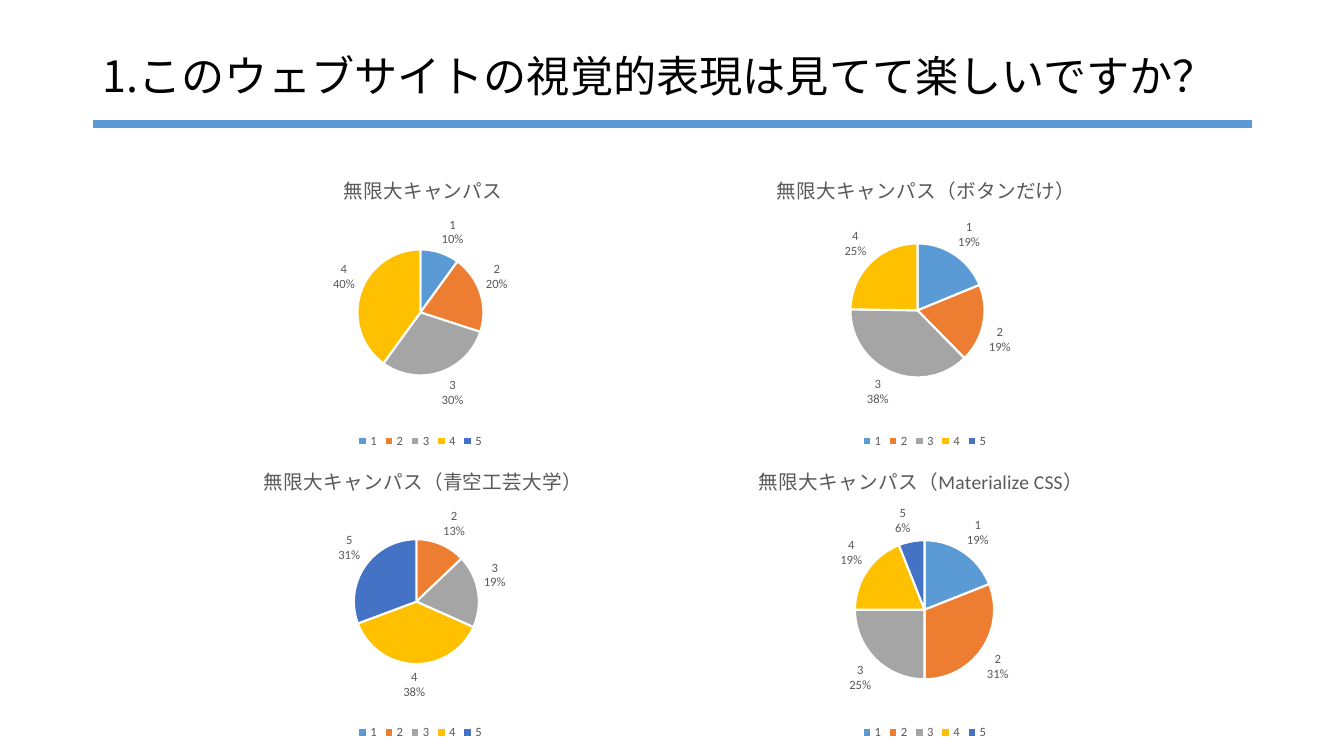
from lxml import etree
from pptx import Presentation
from pptx.chart.data import CategoryChartData
from pptx.dml.color import RGBColor
from pptx.enum.chart import XL_CHART_TYPE, XL_LABEL_POSITION, XL_LEGEND_POSITION
from pptx.enum.shapes import MSO_CONNECTOR
from pptx.enum.text import MSO_ANCHOR
from pptx.oxml.ns import qn
from pptx.util import Inches, Pt

PIE = XL_CHART_TYPE.PIE
OUTSIDE = XL_LABEL_POSITION.OUTSIDE_END
BOTTOM = XL_LEGEND_POSITION.BOTTOM
STRAIGHT = MSO_CONNECTOR.STRAIGHT
MIDDLE = MSO_ANCHOR.MIDDLE

QUESTION = "1.このウェブサイトの視覚的表現は見てて楽しいですか？"
RATINGS = ["1", "2", "3", "4", "5"]
RATING_COLORS = ["5B9BD5", "ED7D31", "A5A5A5", "FFC000", "4472C4"]
SURVEYS = [
    {"title": "無限大キャンパス", "values": [10, 20, 30, 40, 0],
     "title_left": 1.7, "center": (2.5, 1.61), "diameter": 1.25},
    {"title": "無限大キャンパス（ボタンだけ）", "values": [19, 19, 38, 25, 0],
     "title_left": 1.0, "center": (2.43, 1.59), "diameter": 1.33},
    {"title": "無限大キャンパス（青空工芸大学）", "values": [0, 13, 19, 38, 31],
     "title_left": 0.91, "center": (2.46, 1.59), "diameter": 1.24},
    {"title": "無限大キャンパス（Materialize CSS）", "values": [19, 31, 25, 19, 6],
     "title_left": 0.82, "center": (2.5, 1.67), "diameter": 1.38},
]
GRID_LEFT, GRID_TOP = 1.67, 1.49
CHART_WIDTH, CHART_HEIGHT = 5, 3
ROW_STEP = 2.89
TITLE_TOP = 0.19
RULE_LEFT, RULE_RIGHT, RULE_TOP = 0.92, 12.42, 1.23
LATIN_FONT, JAPANESE_FONT = "Calibri", "Noto Sans CJK JP"
GRAY = "595959"


def color(hex_string):
    return RGBColor.from_string(hex_string)


def style_font(font, size, hex_string, name=LATIN_FONT):
    font.size = Pt(size)
    font.name = name
    font.bold = False
    font.color.rgb = color(hex_string)


def add_value(parent, tag, value):
    etree.SubElement(parent, qn(tag)).set("val", str(value))


def set_layout(parent, index, left, top, size=None):
    for old_layout in parent.findall(qn("c:layout")):
        parent.remove(old_layout)
    layout = etree.Element(qn("c:layout"))
    manual = etree.SubElement(layout, qn("c:manualLayout"))
    if size:
        add_value(manual, "c:layoutTarget", "inner")
    add_value(manual, "c:xMode", "edge")
    add_value(manual, "c:yMode", "edge")
    add_value(manual, "c:x", left / CHART_WIDTH)
    add_value(manual, "c:y", top / CHART_HEIGHT)
    if size:
        add_value(manual, "c:w", size / CHART_WIDTH)
        add_value(manual, "c:h", size / CHART_HEIGHT)
    parent.insert(index, layout)


def add_labels(series, values):
    labels = series.data_labels
    labels.show_value = False
    labels.show_percentage = True
    labels.show_category_name = True
    labels.number_format = "0%"
    labels.number_format_is_linked = False
    labels.position = OUTSIDE
    style_font(labels.font, 9, GRAY)
    element = series._element.find(qn("c:dLbls"))
    separator = etree.Element(qn("c:separator"))
    separator.text = "\n"
    element.find(qn("c:showBubbleSize")).addnext(separator)
    empty_ratings = [index for index, value in enumerate(values) if value == 0]
    for position, index in enumerate(empty_ratings):
        label = etree.Element(qn("c:dLbl"))
        add_value(label, "c:idx", index)
        add_value(label, "c:delete", 1)
        element.insert(position, label)


def add_survey_chart(slide, survey, left, top):
    chart_data = CategoryChartData()
    chart_data.categories = RATINGS
    chart_data.add_series("Series 1", survey["values"])
    chart = slide.shapes.add_chart(
        PIE, Inches(left), Inches(top), Inches(CHART_WIDTH), Inches(CHART_HEIGHT), chart_data
    ).chart
    style_font(chart.font, 10, "000000")

    chart.has_title = True
    text_frame = chart.chart_title.text_frame
    text_frame.text = survey["title"]
    style_font(text_frame.paragraphs[0].runs[0].font, 14, GRAY)
    set_layout(chart.chart_title._element, 1, survey["title_left"], TITLE_TOP)

    chart.has_legend = True
    chart.legend.position = BOTTOM
    chart.legend.include_in_layout = False
    style_font(chart.legend.font, 9, GRAY)

    plot = chart.plots[0]
    plot.vary_by_categories = True
    series = plot.series[0]
    for index, hex_string in enumerate(RATING_COLORS):
        slice_format = series.points[index].format
        slice_format.fill.solid()
        slice_format.fill.fore_color.rgb = color(hex_string)
        slice_format.line.color.rgb = color("FFFFFF")
        slice_format.line.width = Pt(1.5)
    add_labels(series, survey["values"])

    center_x, center_y = survey["center"]
    diameter = survey["diameter"]
    plot_area = chart._chartSpace.chart.plotArea
    set_layout(plot_area, 0, center_x - diameter / 2, center_y - diameter / 2, diameter)


def add_heading(slide):
    box = slide.shapes.add_textbox(
        Inches(RULE_LEFT), Inches(0.4), Inches(RULE_RIGHT - RULE_LEFT), Inches(0.83))
    text_frame = box.text_frame
    text_frame.word_wrap = True
    text_frame.vertical_anchor = MIDDLE
    text_frame.text = QUESTION
    paragraph = text_frame.paragraphs[0]
    paragraph.line_spacing = 0.7
    font = paragraph.runs[0].font
    style_font(font, 30.8, "000000", JAPANESE_FONT)
    east_asian = etree.Element(qn("a:ea"))
    east_asian.set("typeface", JAPANESE_FONT)
    font._element.find(qn("a:latin")).addnext(east_asian)

    rule = slide.shapes.add_connector(
        STRAIGHT, Inches(RULE_LEFT), Inches(RULE_TOP), Inches(RULE_RIGHT), Inches(RULE_TOP))
    rule.line.color.rgb = color(RATING_COLORS[0])
    rule.line.width = Pt(6)
    etree.SubElement(rule._element.spPr, qn("a:effectLst"))


def main():
    """Build the survey slide with four pie charts."""
    presentation = Presentation()
    presentation.slide_width = Inches(13.33)
    presentation.slide_height = Inches(7.5)
    slide = presentation.slides.add_slide(presentation.slide_layouts[6])
    for index, survey in enumerate(SURVEYS):
        row, column = divmod(index, 2)
        add_survey_chart(
            slide, survey, GRID_LEFT + column * CHART_WIDTH, GRID_TOP + row * ROW_STEP)
    add_heading(slide)
    presentation.save("out.pptx")


if __name__ == "__main__":
    main()
